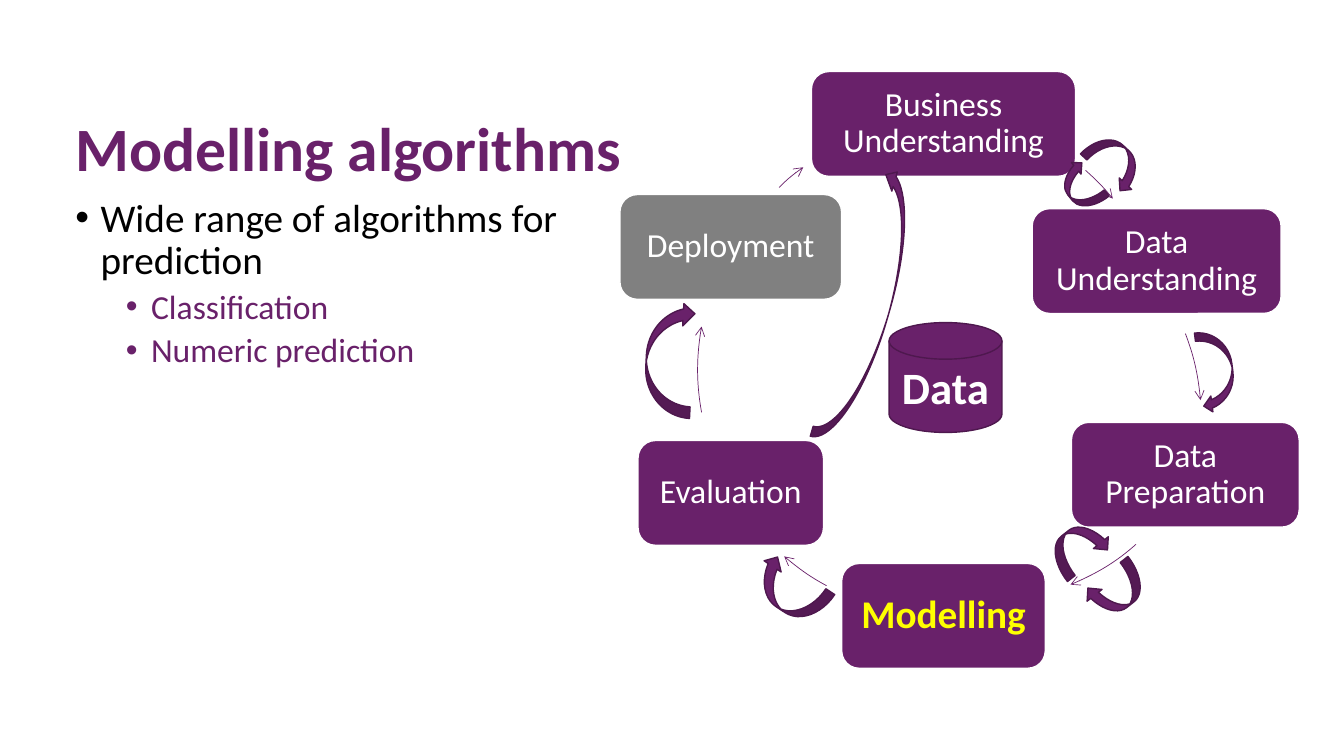
"""Build the slide on modelling algorithms beside the data mining cycle."""
from dataclasses import dataclass

from lxml import etree
from pptx import Presentation
from pptx.dml.color import RGBColor
from pptx.enum.shapes import MSO_SHAPE
from pptx.enum.text import MSO_ANCHOR, PP_ALIGN
from pptx.oxml.ns import qn
from pptx.shapes.autoshape import Shape
from pptx.slide import Slide
from pptx.text.text import TextFrame
from pptx.util import Emu, Inches, Pt

ROUNDED = MSO_SHAPE.ROUNDED_RECTANGLE
DISK = MSO_SHAPE.FLOWCHART_MAGNETIC_DISK
CURVED_ARROW = MSO_SHAPE.CURVED_LEFT_ARROW
LEFT, CENTER = PP_ALIGN.LEFT, PP_ALIGN.CENTER
TOP, MIDDLE = MSO_ANCHOR.TOP, MSO_ANCHOR.MIDDLE

COLUMNS, ROWS = 160, 90
CELL = Inches(7.5) // ROWS
STAGE_ROWS = 12.48
Point = tuple[float, float]


@dataclass(frozen=True)
class Theme:
    font: str = "Calibri"
    purple: str = "69216A"
    edge: str = "4E184E"
    grey: str = "808080"
    white: str = "FFFFFF"
    black: str = "000000"
    yellow: str = "FFFF00"
    title: int = 44
    data: int = 32
    large: int = 28
    normal: int = 24


THEME = Theme()


@dataclass(frozen=True)
class Area:
    column: float
    row: float
    columns: float
    rows: float

    def lengths(self) -> tuple[Emu, Emu, Emu, Emu]:
        return grid(self.column), grid(self.row), grid(self.columns), grid(self.rows)


@dataclass(frozen=True)
class Stage:
    label: str
    column: float
    row: float
    columns: float
    fill: str = THEME.purple
    color: str = THEME.white
    size: int = THEME.normal
    bold: bool = False
    inset: float = 0.1


@dataclass(frozen=True)
class Arc:
    start: Point
    leave: Point
    arrive: Point
    end: Point


@dataclass(frozen=True)
class Loop:
    area: Area
    rotation: float
    flips: str = ""


@dataclass(frozen=True)
class Bullet:
    text: str
    level: int
    indent: float
    before: int
    size: int
    color: str


TITLE_AREA = Area(7.8, 13.44, 138, 9.96)
BODY_AREA = Area(7.8, 23.04, 59.76, 53.28)
DATA_AREA = Area(105.84, 38.4, 13.44, 13.08)

STAGES = (
    Stage("Business Understanding", 96.6, 8.52, 31.44),
    Stage("Data Understanding", 122.88, 24.84, 29.64),
    Stage("Data Preparation", 127.56, 50.28, 27.12),
    Stage("Modelling", 100.2, 67.08, 24.24, color=THEME.yellow,
          size=THEME.large, bold=True, inset=0.12),
    Stage("Evaluation", 75.96, 52.44, 22.08),
    Stage("Deployment", 73.8, 23.16, 26.4, fill=THEME.grey),
)
ARCS = (
    Arc((129.24, 20.28), (130.44, 21.36), (131.52, 22.44), (132.48, 23.64)),
    Arc((141.12, 39.72), (142.08, 42.24), (142.68, 44.88), (142.92, 47.64)),
    Arc((135.24, 64.8), (132.96, 66.84), (130.32, 68.4), (127.44, 69.6)),
    Arc((98.4, 69.72), (96.6, 68.76), (94.92, 67.56), (93.36, 66.24)),
    Arc((83.52, 49.08), (82.92, 45.72), (82.92, 42.24), (83.52, 38.88)),
    Arc((92.76, 22.32), (93.6, 21.48), (94.56, 20.64), (95.64, 19.92)),
)
LOOPS = (
    Loop(Area(130.68, 15.6, 4.2, 7.44), 312.9),
    Loop(Area(142.8, 39.36, 3.96, 9.72), 352.7),
    Loop(Area(130.56, 66.72, 4.68, 7.2), 51.7),
    Loop(Area(91.56, 65.64, 5.04, 9.36), 123.3),
    Loop(Area(76.92, 35.88, 5.52, 13.8), 183),
    Loop(Area(126.84, 19.2, 3.72, 6), 320.5, "HV"),
    Loop(Area(126.12, 61.56, 4.68, 7.2), 231.7),
    Loop(Area(101.04, 19.68, 4.92, 33.6), 16.1, "V"),
)
BULLETS = (
    Bullet("Wide range of algorithms for prediction", 0, 0.25, 10, THEME.large, THEME.black),
    Bullet("Classification", 1, 0.75, 5, THEME.normal, THEME.purple),
    Bullet("Numeric prediction", 1, 0.75, 5, THEME.normal, THEME.purple),
)


def grid(cells: float) -> Emu:
    return Emu(round(cells * CELL))


def write(frame: TextFrame, text: str, *, size: int, color: str, bold: bool = False,
          align: PP_ALIGN = LEFT, anchor: MSO_ANCHOR = TOP, spacing: float = 0.9,
          first: bool = True):
    frame.word_wrap = True
    frame.vertical_anchor = anchor
    para = frame.paragraphs[0] if first else frame.add_paragraph()
    para.alignment, para.line_spacing = align, spacing
    span = para.add_run()
    span.text = text
    span.font.name, span.font.size, span.font.bold = THEME.font, Pt(size), bold
    span.font.color.rgb = RGBColor.from_string(color)
    return para


def add_filled(page: Slide, kind: MSO_SHAPE, area: Area, fill: str, line: str) -> Shape:
    shape = page.shapes.add_shape(kind, *area.lengths())
    shape.shadow.inherit = False
    shape.fill.solid()
    shape.fill.fore_color.rgb = RGBColor.from_string(fill)
    shape.line.color.rgb = RGBColor.from_string(line)
    shape.line.width = Pt(1)
    return shape


def add_stage(page: Slide, stage: Stage) -> None:
    area = Area(stage.column, stage.row, stage.columns, STAGE_ROWS)
    frame = add_filled(page, ROUNDED, area, stage.fill, THEME.white).text_frame
    frame.margin_left = frame.margin_right = Inches(stage.inset)
    frame.margin_top = frame.margin_bottom = Inches(stage.inset)
    write(frame, stage.label, size=stage.size, color=stage.color, bold=stage.bold,
          align=CENTER, anchor=MIDDLE)


def add_arc(page: Slide, arc: Arc) -> None:
    start, *others = [(grid(column), grid(row)) for column, row in
                      (arc.start, arc.leave, arc.arrive, arc.end)]
    builder = page.shapes.build_freeform(*start)
    builder.add_line_segments(others, close=False)
    shape = builder.convert_to_shape()
    shape.shadow.inherit = False
    shape.fill.background()
    shape.line.color.rgb = RGBColor.from_string(THEME.purple)
    shape.line.width = Pt(0.5)
    outline = next(shape._element.iter(qn("a:path")))
    curve = etree.SubElement(outline, qn("a:cubicBezTo"))
    for segment in outline.findall(qn("a:lnTo")):
        curve.append(segment[0])
        outline.remove(segment)
    etree.SubElement(shape._element.spPr.find(qn("a:ln")), qn("a:tailEnd"), type="arrow")


def add_loop(page: Slide, loop: Loop) -> None:
    shape = add_filled(page, CURVED_ARROW, loop.area, THEME.purple, THEME.edge)
    shape.adjustments[1] = 0.481
    shape.rotation = loop.rotation
    for axis in loop.flips:
        shape._element.spPr.find(qn("a:xfrm")).set(f"flip{axis}", "1")


def add_bullet(frame: TextFrame, bullet: Bullet, first: bool) -> None:
    para = write(frame, bullet.text, size=bullet.size, color=bullet.color, first=first)
    para.level, para.space_before = bullet.level, Pt(bullet.before)
    settings = para._p.get_or_add_pPr()
    settings.set("marL", str(Inches(bullet.indent)))
    settings.set("indent", str(-Inches(0.25)))
    etree.SubElement(settings, qn("a:buFont"), typeface="Arial")
    etree.SubElement(settings, qn("a:buChar"), char="•")


def main() -> None:
    deck = Presentation()
    deck.slide_width, deck.slide_height = grid(COLUMNS), grid(ROWS)
    page = deck.slides.add_slide(deck.slide_layouts[6])
    for stage, arc in zip(STAGES, ARCS):
        add_stage(page, stage)
        add_arc(page, arc)
    disk = add_filled(page, DISK, DATA_AREA, THEME.purple, THEME.edge)
    write(disk.text_frame, "Data", size=THEME.data, color=THEME.white, bold=True,
          align=CENTER, anchor=MIDDLE, spacing=1.0)
    for loop in LOOPS:
        add_loop(page, loop)
    body = page.shapes.add_textbox(*BODY_AREA.lengths())
    for index, bullet in enumerate(BULLETS):
        add_bullet(body.text_frame, bullet, index == 0)
    title = page.shapes.add_textbox(*TITLE_AREA.lengths())
    write(title.text_frame, "Modelling algorithms", size=THEME.title,
          color=THEME.purple, bold=True)
    deck.save("out.pptx")


if __name__ == "__main__":
    main()
